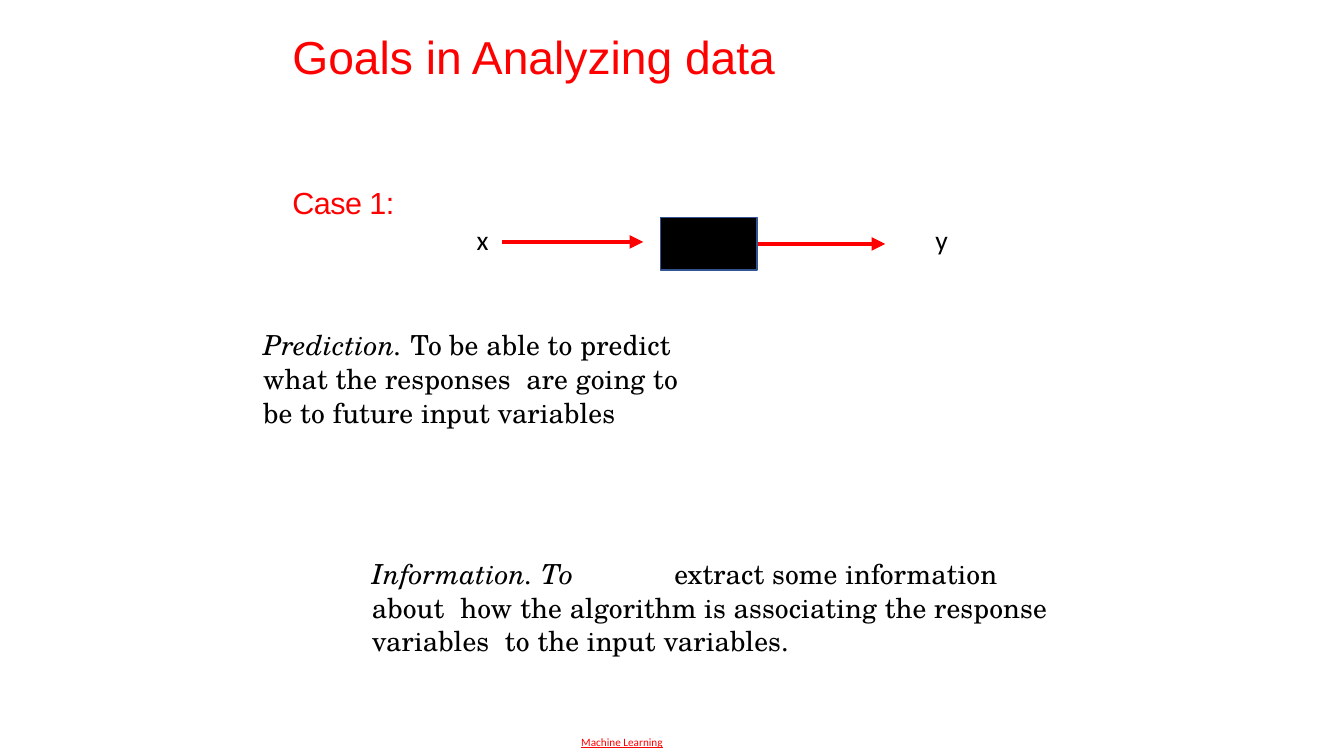
from lxml import etree
from pptx import Presentation
from pptx.dml.color import RGBColor
from pptx.enum.shapes import MSO_CONNECTOR, MSO_SHAPE
from pptx.enum.text import MSO_ANCHOR, PP_ALIGN
from pptx.oxml.ns import qn
from pptx.util import Inches, Pt

RED = RGBColor(0xFF, 0x00, 0x00)
BLACK = RGBColor(0x00, 0x00, 0x00)
BLUE = RGBColor(0x32, 0x54, 0x91)
STRAIGHT = MSO_CONNECTOR.STRAIGHT
RECTANGLE = MSO_SHAPE.RECTANGLE
TOP, MIDDLE = MSO_ANCHOR.TOP, MSO_ANCHOR.MIDDLE
LEFT, CENTER = PP_ALIGN.LEFT, PP_ALIGN.CENTER
SERIF = "TeX Gyre Schola"
DEFAULT_INSETS = (0.1, 0.05, 0.1, 0.05)


def add_text(s, box, runs, size=19.7, font="Calibri", color=BLACK, insets=DEFAULT_INSETS,
             anchor=TOP, align=LEFT, wrap=True, underline=None, before=0, leading=None, tab=None):
    tf = s.shapes.add_textbox(*map(Inches, box)).text_frame
    tf.word_wrap = wrap
    tf.vertical_anchor = anchor
    tf.margin_left, tf.margin_top, tf.margin_right, tf.margin_bottom = map(Inches, insets)
    p = tf.paragraphs[0]
    p.alignment = align
    p.space_before = Pt(before)
    if leading:
        p.line_spacing = leading
    if tab:
        tabs = etree.SubElement(p._p.get_or_add_pPr(), qn("a:tabLst"))
        etree.SubElement(tabs, qn("a:tab"), pos=str(Inches(tab)), algn="l")
    for text, italic, spacing in runs:
        r = p.add_run()
        r.text = text
        r.font.name, r.font.size = font, Pt(size)
        r.font.color.rgb = color
        r.font.italic, r.font.underline = italic, underline
        r._r.get_or_add_rPr().set("spc", str(round(spacing * 100)))


def add_arrow(s, x, y, length):
    c = s.shapes.add_connector(STRAIGHT, *map(Inches, (x, y, x + length, y)))
    c.line.color.rgb = RED
    c.line.width = Pt(3.25)
    etree.SubElement(c.line._get_or_add_ln(), qn("a:tailEnd"), type="triangle")
    etree.SubElement(c._element.spPr, qn("a:effectLst"))


def add_headings(s, x, y):
    add_text(s, (x, y, 8.26, 0.4), [("Goals in Analyzing data", False, 0)], size=33,
             font="Arial", color=RED, insets=(0, 0.04, 0, 0), anchor=MIDDLE,
             before=2.7, leading=Pt(23.9))
    add_text(s, (x, y + 1.38, 1.65, 0.38), [("Case 1:", False, -0.4)], size=21.8,
             font="Arial", color=RED, insets=(0, 0.01, 0, 0), before=0.8)


def add_black_box_diagram(s, x, y):
    for label, dx in (("x", 0), ("y", 4.55)):
        add_text(s, (x + dx, y, 0.31, 0.43), [(label, False, 0)], wrap=False)
    add_arrow(s, x + 0.35, y + 0.24, 1.4)
    add_arrow(s, x + 2.74, y + 0.26, 1.41)
    box = s.shapes.add_shape(RECTANGLE, *map(Inches, (x + 1.92, y, 0.96, 0.52)))
    box.shadow.inherit = False
    box.fill.solid()
    box.fill.fore_color.rgb = BLACK
    box.line.color.rgb = BLUE
    box.line.width = Pt(1)


def add_goals(s, x, y):
    add_text(s, (x, y, 4.47, 1), [
        ("Prediction. ", True, 0.1),
        ("To ", False, -0.2),
        ("be able to predict what the responses  are going to be to future input variables",
         False, 0.1),
    ], font=SERIF, insets=(0, 0.01, 0, 0), before=8.1, leading=1.02)
    add_text(s, (x + 0.98, y + 2.24, 6.97, 1.09), [
        ("Information. To\t", True, 0.1),
        ("extract some information about  ", False, 0.1),
        ("how ", False, 0.2),
        ("the algorithm is associating the response variables  to the input variables.",
         False, 0.1),
    ], font=SERIF, tab=3)


def add_footer(s, box):
    add_text(s, box, [("Machine Learning", False, 0)], size=8, color=RED,
             anchor=MIDDLE, align=CENTER, underline=True)


def main():
    prs = Presentation()
    prs.slide_width, prs.slide_height = Inches(13.33), Inches(7.5)
    s = prs.slides.add_slide(prs.slide_layouts[6])
    add_goals(s, 2.61, 3.24)
    add_headings(s, 2.9, 0.44)
    add_black_box_diagram(s, 4.63, 2.16)
    add_footer(s, (3.92, 7.16, 4.5, 0.4))
    prs.save("out.pptx")


if __name__ == "__main__":
    main()
